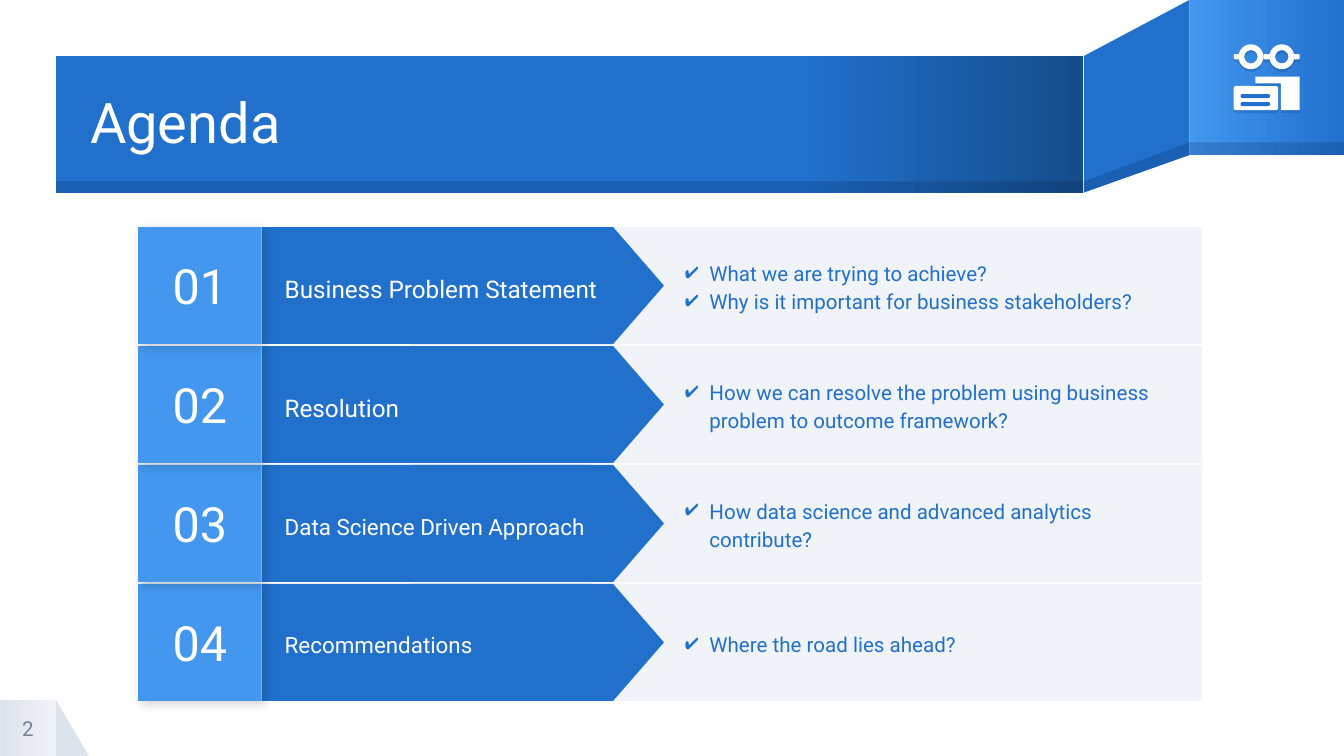
from dataclasses import dataclass

from lxml import etree
from pptx import Presentation, util as u
from pptx.dml.color import RGBColor
from pptx.enum import shapes, text
from pptx.oxml.ns import qn


@dataclass(frozen=True)
class Theme:
    font: str = "Roboto"
    blue: str = "2170CC"
    light: str = "4397EE"
    deep: str = "154C8A"
    shade: str = "001F46"
    panel: str = "F0F3F7"
    corner: str = "DDE3EB"
    grey: str = "748394"
    white: str = "FFFFFF"
    title: int = 30
    number: int = 26
    heading: int = 13
    subheading: int = 12
    body: int = 11


T = Theme()
K = shapes.MSO_SHAPE
prs = Presentation()
prs.slide_width, prs.slide_height = u.Inches(10), u.Inches(5.625)
CELL = prs.slide_width / 100  # the slide is a grid of 100 columns by 56.25 rows
s = prs.slides.add_slide(prs.slide_layouts[6])


def draw(kind, place, fill=None, alpha=None, shadow=None):
    """Draw a preset, a text box (kind None) or a polygon (kind "free").

    place is left, top, width, height in cells, or the polygon's points.
    fill is a colour, or (start colour, end colour, start percent).
    shadow is colour, opacity percent, blur, distance, angle.
    """
    if kind is None:
        return s.shapes.add_textbox(*[int(v * CELL) for v in place])
    if kind == "free":
        points = [(x * CELL, y * CELL) for x, y in place]
        builder = s.shapes.build_freeform(*points[0])
        builder.add_line_segments(points[1:])
        sp = builder.convert_to_shape()
    else:
        sp = s.shapes.add_shape(kind, *[int(v * CELL) for v in place])
    sp.shadow.inherit = False
    sp.line.fill.background()
    if isinstance(fill, tuple):
        sp.fill.gradient()
        sp.fill.gradient_angle = 0
        for stop, color, position in zip(sp.fill.gradient_stops, fill, (fill[2] / 100, 1)):
            stop.color.rgb = RGBColor.from_string(color)
            stop.position = position
    else:
        sp.fill.solid()
        sp.fill.fore_color.rgb = RGBColor.from_string(fill)
    spPr = sp._element.spPr
    if alpha:
        color = spPr.find(qn("a:solidFill")).find(qn("a:srgbClr"))
        etree.SubElement(color, qn("a:alpha"), val=str(alpha * 1000))
    if shadow:
        color, opacity, blur, distance, angle = shadow
        outer = etree.SubElement(
            spPr.find(qn("a:effectLst")), qn("a:outerShdw"), blurRad=str(u.Pt(blur)),
            dist=str(u.Pt(distance)), dir=str(angle * 60000), algn="bl", rotWithShape="0")
        color = etree.SubElement(outer, qn("a:srgbClr"), val=color)
        etree.SubElement(color, qn("a:alpha"), val=str(opacity * 1000))
    return sp


def write(sp, lines, size, color, align=text.PP_ALIGN.LEFT, inset=1, spacing=1, bullet=None):
    tf = sp.text_frame
    tf.word_wrap = True
    tf.vertical_anchor = text.MSO_ANCHOR.MIDDLE
    tf.margin_left = tf.margin_right = tf.margin_top = tf.margin_bottom = int(inset * CELL)
    for i, line in enumerate(lines):
        p = tf.add_paragraph() if i else tf.paragraphs[0]
        p.alignment = align
        p.line_spacing = spacing
        if bullet:
            pPr = p._p.get_or_add_pPr()
            pPr.set("marL", str(int(3.5 * CELL)))
            pPr.set("indent", str(int(-1.8 * CELL)))
            mark = etree.SubElement(pPr, qn("a:buClr"))
            etree.SubElement(mark, qn("a:srgbClr"), val=color)
            etree.SubElement(pPr, qn("a:buChar"), char=bullet)
        r = p.add_run()
        r.text = line
        r.font.name, r.font.size = T.font, u.Pt(size)
        r.font.color.rgb = RGBColor.from_string(color)


# Page number corner
draw(K.RIGHT_TRIANGLE, (4.17, 52.08, 2.45, 4.17), T.corner)
draw(K.RECTANGLE, (0, 52.08, 4.17, 4.17), (T.corner, T.panel, 0))
write(draw(None, (0, 52.08, 4.17, 4.17)), ["2"], T.body, T.grey, text.PP_ALIGN.CENTER, 0)

# Folded title ribbon, with a dark strip along its lower edge
draw("free", [(88.5, 0), (80.65, 4.17), (80.65, 14.33), (88.5, 11.54)], T.blue)
draw(K.RECTANGLE, (88.5, 0, 11.5, 11.54), (T.light, T.blue, 0))
draw(K.RECTANGLE, (4.17, 4.17, 76.45, 10.16), (T.blue, T.deep, 73))
draw("free", [(88.5, 10.6), (80.65, 13.5), (80.65, 14.33), (88.5, 11.54)], T.shade, 20)
draw(K.RECTANGLE, (88.5, 10.6, 11.5, 0.94), T.shade, 20)
draw(K.RECTANGLE, (4.17, 13.5, 76.45, 0.83), T.shade, 20)
write(draw(None, (6.7, 4.3, 73.9, 10.1)), ["Agenda"], T.title, T.white, inset=0, spacing=0.9)

# Agenda rows, from the last up so that each number's shadow falls on the row below
agenda = [
    ("Business Problem Statement", T.heading,
     ["What we are trying to achieve?", "Why is it important for business stakeholders?"]),
    ("Resolution", T.heading,
     ["How we can resolve the problem using business problem to outcome framework?"]),
    ("Data Science Driven Approach", T.subheading,
     ["How data science and advanced analytics contribute?"]),
    ("Recommendations", T.subheading, ["Where the road lies ahead?"]),
]
TOP, PITCH, ROW, ARROW = 16.9, 8.85, 8.7, 18.9
for i, (heading, size, points) in reversed(list(enumerate(agenda))):
    y = TOP + i * PITCH
    draw(K.RECTANGLE, (38.7, y, 50.75, ROW), T.panel)
    draw(K.RECTANGLE, (19.5, y, 24.5, ROW), T.blue)
    arrow = draw(K.FLOWCHART_OFFPAGE_CONNECTOR,
                 (35.6, y + (ROW - ARROW) / 2, ROW, ARROW), T.blue)
    arrow.rotation = 270
    write(draw(None, (20.2, y + 1.05, 29.1, 6.7)), [heading], size, T.white, spacing=1.15)
    number = draw(K.RECTANGLE, (10.27, y, 9.2, ROW), T.light, shadow=("000000", 17, 5.6, 2.2, 45))
    write(number, [f"{i + 1:02}"], T.number, T.white, text.PP_ALIGN.CENTER)
    write(draw(None, (48.3, y, 39.5, ROW)), points, T.body, T.blue, spacing=1.15, bullet="✔")

# Icon: glasses above two folders
soft = (T.shade, 15, 0, 1.5, 90)
for x in (91.8, 94, 96.2):
    draw(K.ROUNDED_RECTANGLE, (x, 4.03, 0.5, 0.38), T.white, shadow=soft)
for x in (92.15, 94.45):
    lens = draw(K.DONUT, (x, 3.3, 1.85, 1.85), T.white, shadow=soft)
    lens.adjustments[0] = 0.23
draw("free", [(93.4, 5.7), (96.7, 5.7), (96.7, 8.2), (95.3, 8.2), (95.3, 6.2), (93.4, 6.2)],
     T.white, shadow=soft)
folder = draw(K.ROUNDED_RECTANGLE, (91.8, 6.4, 3.3, 1.8), T.white, shadow=soft)
folder.adjustments[0] = 0.1
for y in (7, 7.6):
    stripe = draw(K.ROUNDED_RECTANGLE, (92.3, y, 2.2, 0.3), T.blue)
    stripe.adjustments[0] = 0.5

prs.save("out.pptx")
